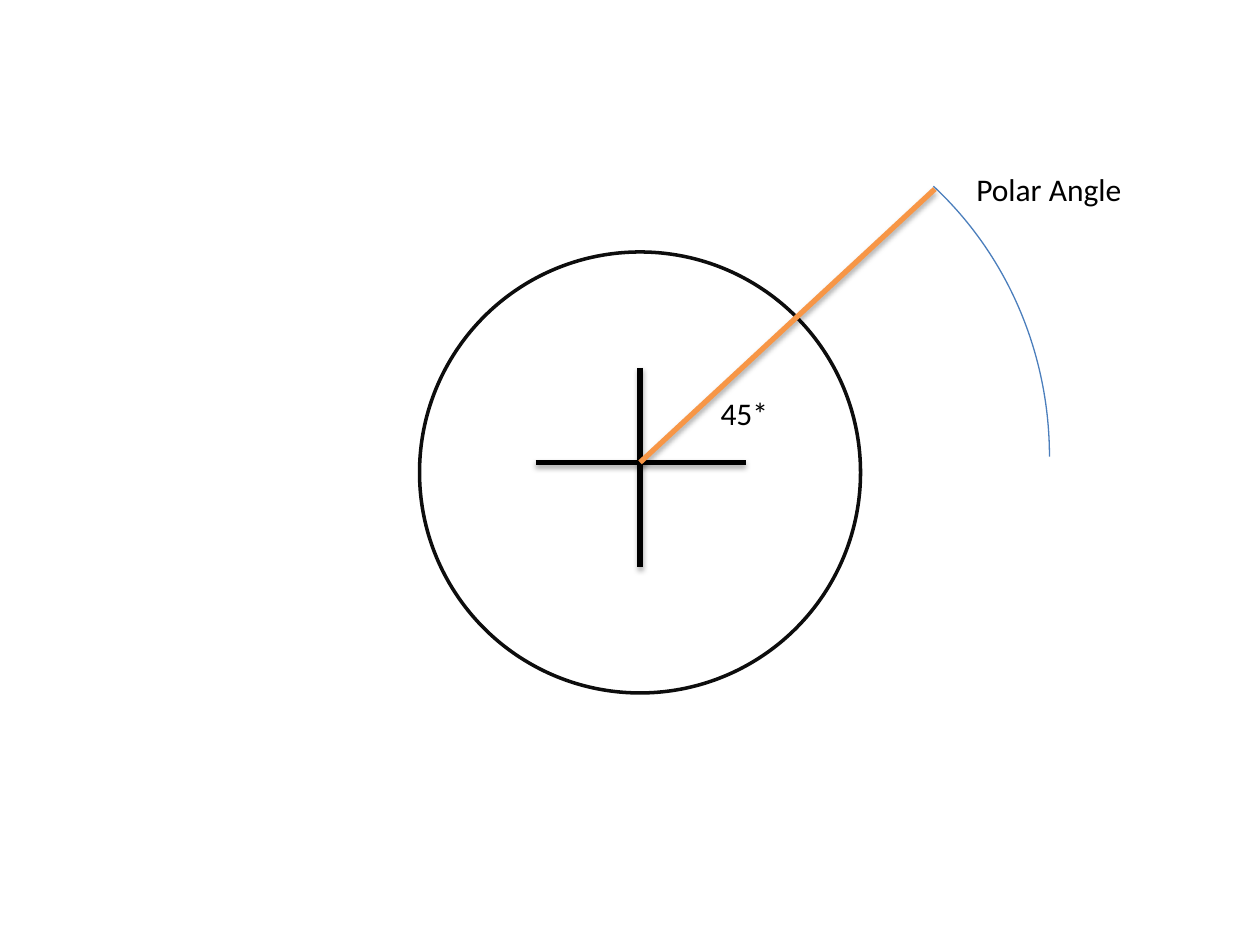
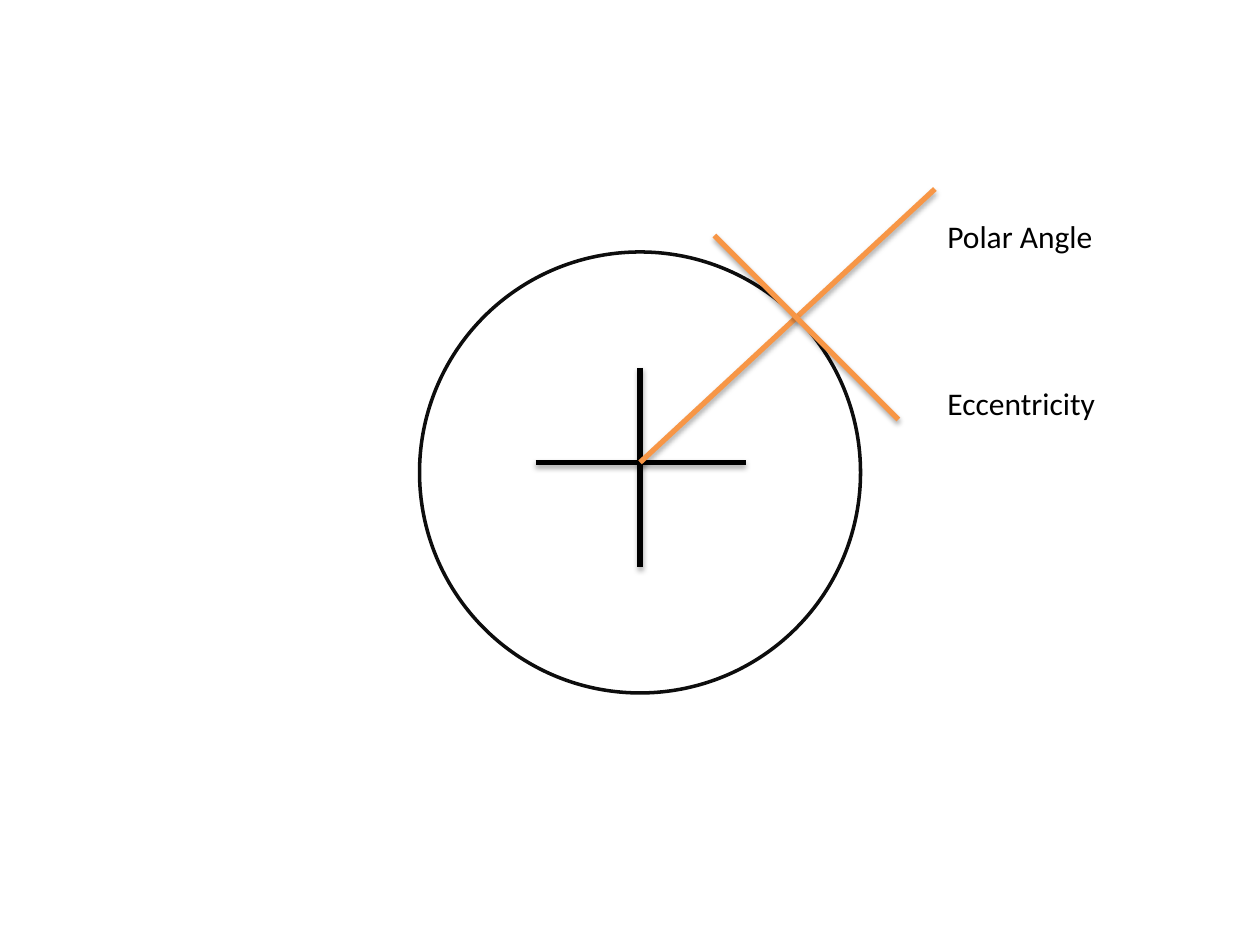
from dataclasses import dataclass

from pptx import Presentation
from pptx.dml.color import RGBColor
from pptx.enum import shapes, text
from pptx.oxml import parse_xml
from pptx.oxml.ns import nsdecls
from pptx.util import Inches, Pt


@dataclass(frozen=True)
class Theme:
    font: str = "Calibri"
    label_size: int = 18
    ink: str = "000000"
    outline: str = "0D0D0D"
    ray: str = "F79646"
    sweep: str = "4B7EBC"
    line_width: float = 3
    outline_width: float = 2
    sweep_width: float = 0.75


THEME = Theme()

# Parts on both slides: lines as (start, end, colour), boxes as (left, top, width, height)
CENTRE = (5.08, 3.67)
CROSSHAIR = [
    ((CENTRE[0], 2.92), (CENTRE[0], 4.5), THEME.ink),
    ((4.25, CENTRE[1]), (5.92, CENTRE[1]), THEME.ink),
]
VISUAL_FIELD = (3.33, 2, 3.5, 3.5)
POLAR_RAY = (CENTRE, (7.42, 1.5), THEME.ray)

# Labels as (wording, left, top, width)
LABEL_HEIGHT = 0.4
POLAR_SLIDE = {
    "labels": [("Polar Angle", 7.65, 1.3, 1.37)],
    "sweep": (2.83, 0.75, 5.5, 5.75),
    "sweep_angles": (186.25, 0),
    "angle": ("45*", 5.62, 3.08, 0.58),
}
ECCENTRICITY_SLIDE = {
    "labels": [("Polar Angle", 7.42, 1.67, 1.37), ("Eccentricity", 7.42, 3, 1.38)],
    "tangent": ((5.67, 1.87), (7.13, 3.33), THEME.ray),
}

SHADOW = (
    f'<a:effectLst {nsdecls("a")}><a:outerShdw blurRad="{Pt(3.1)}" dist="{Pt(1.8)}" '
    'dir="5400000" rotWithShape="0"><a:srgbClr val="000000"><a:alpha val="35000"/>'
    "</a:srgbClr></a:outerShdw></a:effectLst>"
)


def inches(values):
    return [Inches(value) for value in values]


def style_line(line, colour, width):
    line.color.rgb = RGBColor.from_string(colour)
    line.width = Pt(width)


def add_line(target, start, end, colour):
    """Add a straight line with a soft shadow below it."""
    connector = target.add_connector(shapes.MSO_CONNECTOR.STRAIGHT, *inches(start + end))
    style_line(connector.line, colour, THEME.line_width)
    connector._element.spPr.append(parse_xml(SHADOW))


def add_outline(target, preset, box, colour, width):
    outline = target.add_shape(preset, *inches(box))
    outline.shadow.inherit = False
    outline.fill.background()
    style_line(outline.line, colour, width)
    return outline


def add_label(target, wording, left, top, width):
    frame = target.add_textbox(*inches((left, top, width, LABEL_HEIGHT))).text_frame
    frame.word_wrap = False
    frame.auto_size = text.MSO_AUTO_SIZE.SHAPE_TO_FIT_TEXT
    run = frame.paragraphs[0].add_run()
    run.text = wording
    run.font.name = THEME.font
    run.font.size = Pt(THEME.label_size)
    run.font.color.rgb = RGBColor.from_string(THEME.ink)


def add_field_slide(deck, labels):
    """Add a slide with the shared visual field; return the slide and its group's shapes."""
    slide = deck.slides.add_slide(deck.slide_layouts.get_by_name("Blank"))
    field = slide.shapes.add_group_shape().shapes
    for stroke in CROSSHAIR:
        add_line(field, *stroke)
    add_outline(field, shapes.MSO_SHAPE.OVAL, VISUAL_FIELD, THEME.outline, THEME.outline_width)
    add_line(field, *POLAR_RAY)
    for label in labels:
        add_label(field, *label)
    return slide, field


def main():
    deck = Presentation()
    deck.slide_width, deck.slide_height = inches((10, 7.5))

    polar, _ = add_field_slide(deck, POLAR_SLIDE["labels"])
    sweep = add_outline(polar.shapes, shapes.MSO_SHAPE.ARC, POLAR_SLIDE["sweep"],
                        THEME.sweep, THEME.sweep_width)
    for index, angle in enumerate(POLAR_SLIDE["sweep_angles"]):
        sweep.adjustments[index] = angle
    add_label(polar.shapes, *POLAR_SLIDE["angle"])

    _, field = add_field_slide(deck, ECCENTRICITY_SLIDE["labels"])
    add_line(field, *ECCENTRICITY_SLIDE["tangent"])

    deck.save("out.pptx")


if __name__ == "__main__":
    main()
